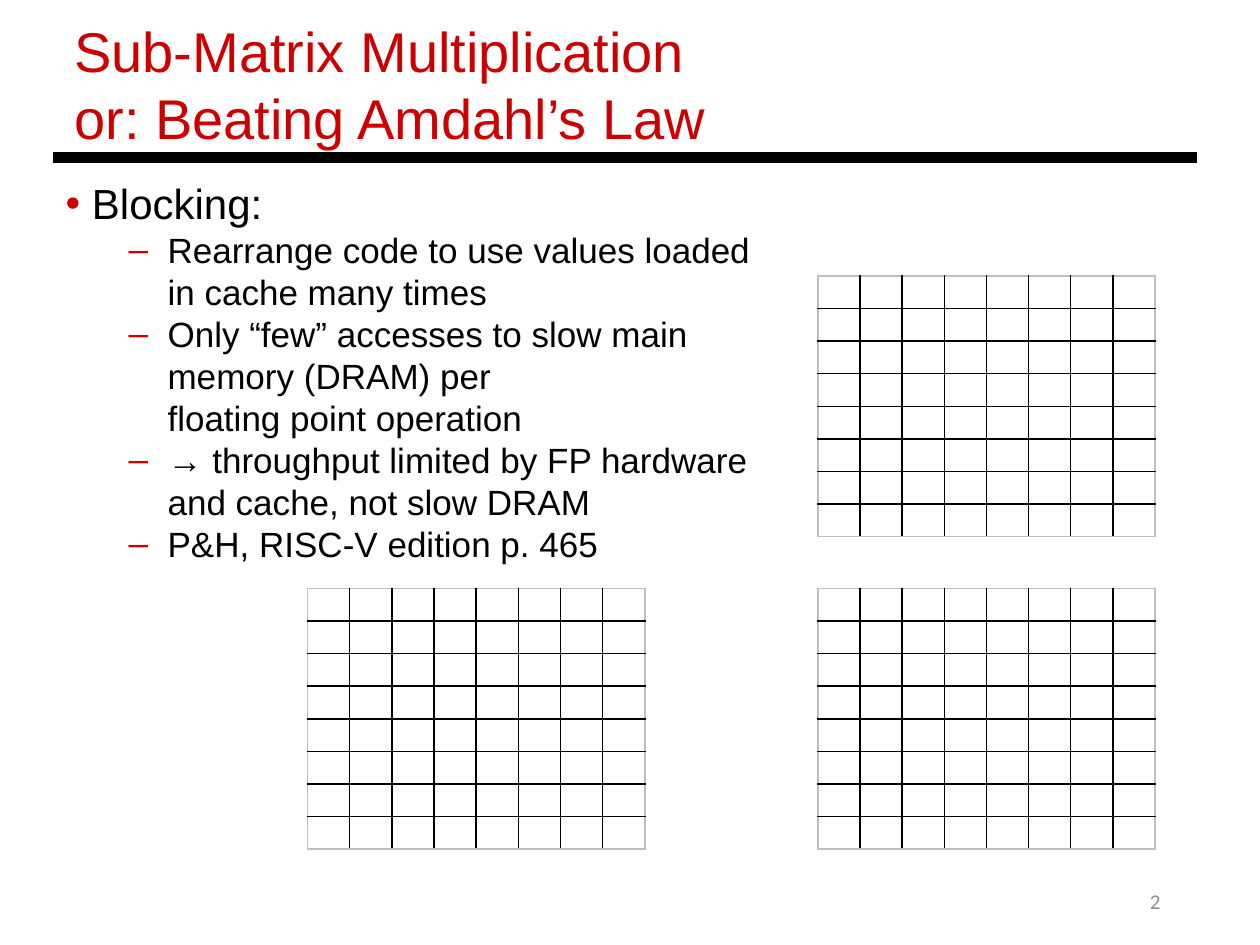
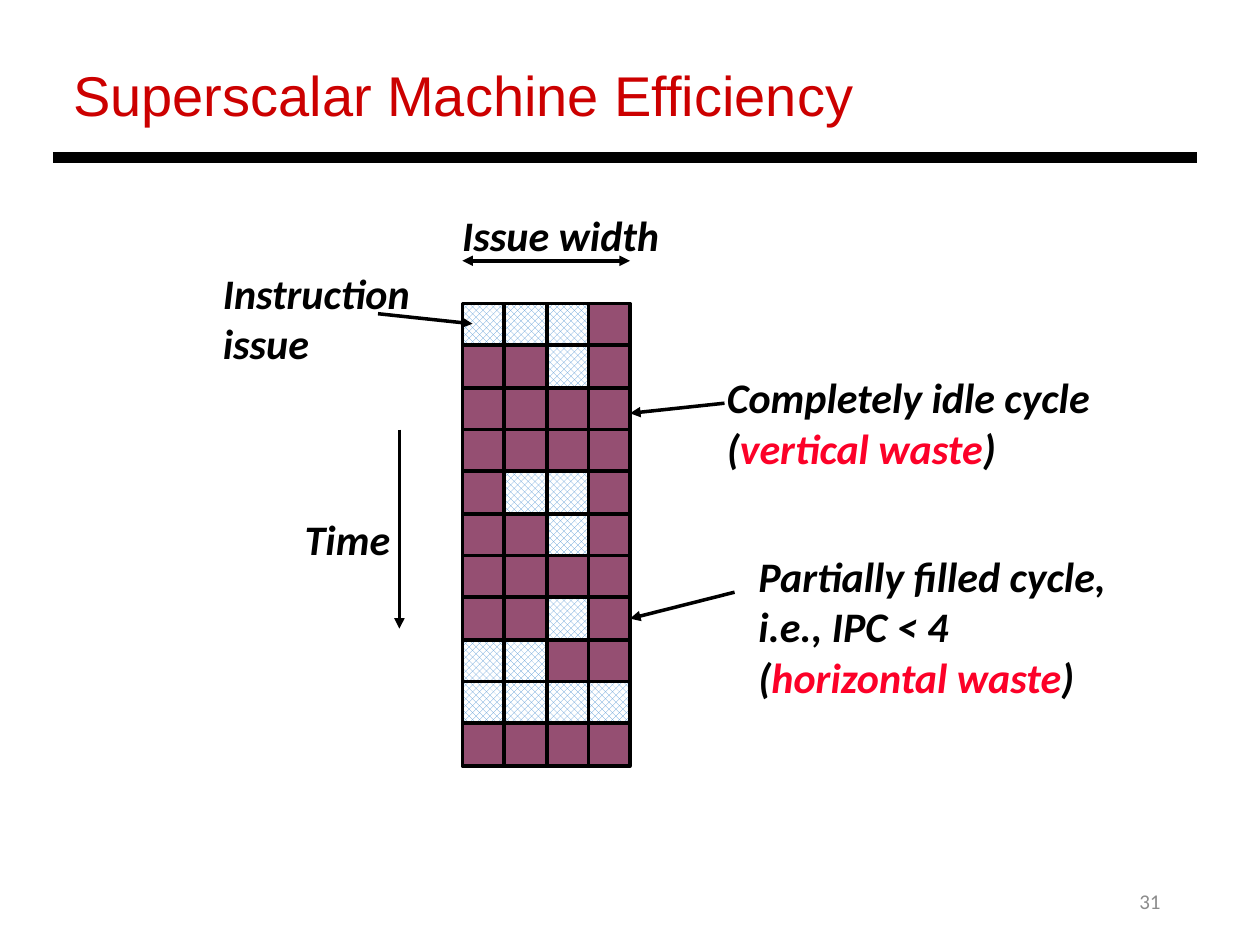
from dataclasses import dataclass
from lxml.etree import SubElement
from pptx import Presentation
from pptx.dml.color import RGBColor
from pptx.enum.dml import MSO_PATTERN
from pptx.enum.shapes import MSO_CONNECTOR, MSO_SHAPE
from pptx.enum.text import MSO_ANCHOR, MSO_AUTO_SIZE, PP_ALIGN
from pptx.oxml import parse_xml
from pptx.oxml.ns import nsdecls, qn
from pptx.util import Pt

PX = 9144


@dataclass(frozen=True)
class Theme:
    """Colours, fonts and type sizes of the deck."""
    red: str = "CC0000"
    alert: str = "FC0128"
    ink: str = "000000"
    gray: str = "8C8C8C"
    edge: str = "BFBFBF"
    idle: str = "954F72"
    busy: str = "5B9BD5"
    paper: str = "FFFFFF"
    sans: str = "Arial"
    hand: str = "Calibri"
    title: int = 32
    head: int = 24
    item: int = 20
    foot: int = 12


T = Theme()

BLOCKING = [
    "Rearrange code to use values loaded in cache many times",
    "Only “few” accesses to slow main memory (DRAM) per\vfloating point operation",
    "→ throughput limited by FP hardware and cache, not slow DRAM",
    "P&H, RISC-V edition p. 465",
]

ISSUE = ["###.", "..#.", "....", "....", ".##.", "..#.",
         "....", "..#.", "##..", "####", "...."]


def rgb(code):
    """Turn a hex code into a colour."""
    return RGBColor.from_string(code)


def emu(*sizes):
    """Scale px lengths to EMU."""
    return [round(size * PX) for size in sizes]


def place(shape, box):
    """Move a shape to a px box."""
    shape.left, shape.top, shape.width, shape.height = emu(*box)


def style(para, face, size, color, bold=False):
    """Format every run and line break of a paragraph."""
    for run in para.runs:
        font = run.font
        font.name, font.size = face, Pt(size)
        font.color.rgb = rgb(color)
        font.bold = font.italic = bold
    for br in para._p.findall(qn("a:br")):
        SubElement(br, qn("a:rPr")).set("sz", str(size * 100))


def bullet(para, mark, left, hang):
    """Give a paragraph a red bullet and a hanging indent in px."""
    props = para._p.get_or_add_pPr()
    left, hang = emu(left, hang)
    props.set("marL", str(left))
    props.set("indent", str(-hang))
    tint = SubElement(props, qn("a:buClr"))
    SubElement(tint, qn("a:srgbClr")).set("val", T.red)
    SubElement(props, qn("a:buFont")).set("typeface", T.sans)
    SubElement(props, qn("a:buChar")).set("char", mark)
    para.space_before = Pt(0)


def line(slide, start, end, width=2, head=False, tail=False):
    """Draw a straight line with optional arrowheads."""
    link = slide.shapes.add_connector(
        MSO_CONNECTOR.STRAIGHT, *emu(*start, *end))
    link.line.width = Pt(width)
    link.line.color.rgb = rgb(T.ink)
    for tag, used in (("a:headEnd", head), ("a:tailEnd", tail)):
        if used:
            SubElement(link.line._get_or_add_ln(), qn(tag)).set("type", "triangle")
    SubElement(link._element.spPr, qn("a:effectLst"))
    return link


def frame(deck, layout, title, box, number):
    """Add a slide with its title, rule and number."""
    slide = deck.slides.add_slide(deck.slide_layouts[layout])
    place(slide.shapes.title, box)
    text = slide.shapes.title.text_frame
    text.text = title
    text.auto_size = MSO_AUTO_SIZE.NONE
    text.vertical_anchor = MSO_ANCHOR.TOP
    para = text.paragraphs[0]
    para.alignment = PP_ALIGN.LEFT
    style(para, T.sans, T.title, T.red)
    line(slide, (42, 125), (950, 125), width=6)
    foot = slide.shapes.add_textbox(*emu(706, 695, 225, 40)).text_frame
    foot.text = number
    foot.vertical_anchor = MSO_ANCHOR.MIDDLE
    foot.paragraphs[0].alignment = PP_ALIGN.RIGHT
    style(foot.paragraphs[0], T.hand, T.foot, T.gray)
    return slide


def outline(slide, box, head, items):
    """Fill the body placeholder with a heading and dashed items."""
    body = slide.placeholders[1]
    place(body, box)
    text = body.text_frame
    text.auto_size = MSO_AUTO_SIZE.NONE
    para = text.paragraphs[0]
    para.text = head
    bullet(para, "•", 21, 21)
    style(para, T.sans, T.head, T.ink)
    for item in items:
        para = text.add_paragraph()
        para.text, para.level = item, 1
        bullet(para, "–", 81, 31)
        style(para, T.sans, T.item, T.ink)


def border(cell, colors):
    """Set left, right, top and bottom cell borders."""
    props = cell._tc.get_or_add_tcPr()
    for spot, (side, color) in enumerate(zip("LRTB", colors)):
        props.insert(spot, parse_xml(
            f'<a:ln{side} {nsdecls("a")} w="12700"><a:solidFill>'
            f'<a:srgbClr val="{color}"/></a:solidFill></a:ln{side}>'))


def matrix(slide, left, top, count=8):
    """Add an empty square table with a pale outer edge."""
    box = emu(left, top, 268, 207)
    table = slide.shapes.add_table(count, count, *box).table
    table.first_row = table.horz_banding = False
    last = count - 1
    for row in range(count):
        for col in range(count):
            cell = table.cell(row, col)
            cell.fill.background()
            cell.margin_top = cell.margin_bottom = 0
            tail = SubElement(cell.text_frame.paragraphs[0]._p, qn("a:endParaRPr"))
            tail.set("sz", "800")
            rims = (col == 0, col == last, row == 0, row == last)
            border(cell, [T.edge if rim else T.ink for rim in rims])


def slots(slide, left, top, rows):
    """Draw issue slots and return them by row."""
    def slot(row, col, mark):
        """Draw one busy or idle slot."""
        x, x2, y, y2 = (round(n * 100 / 3) for n in (col, col + 1, row, row + 1))
        shape = slide.shapes.add_shape(
            MSO_SHAPE.RECTANGLE, *emu(left + x, top + y, x2 - x, y2 - y))
        shape.shadow.inherit = False
        if mark == "#":
            shape.fill.patterned()
            shape.fill.pattern = MSO_PATTERN.SOLID_DIAMOND
            shape.fill.fore_color.rgb = rgb(T.busy)
            shape.fill.back_color.rgb = rgb(T.paper)
        else:
            shape.fill.solid()
            shape.fill.fore_color.rgb = rgb(T.idle)
        shape.line.color.rgb = rgb(T.ink)
        shape.line.width = Pt(2)
        return shape
    return [[slot(row, col, mark) for col, mark in enumerate(marks)]
            for row, marks in enumerate(rows)]


def label(slide, box, *paras, wrap=True):
    """Add a bold italic label; odd pieces of a paragraph are red."""
    text = slide.shapes.add_textbox(*emu(*box)).text_frame
    text.word_wrap = wrap
    for spot, parts in enumerate(paras):
        para = text.add_paragraph() if spot else text.paragraphs[0]
        for part in parts:
            para.add_run().text = part
        style(para, T.hand, T.head, T.ink, bold=True)
        for run in para.runs[1::2]:
            run.font.color.rgb = rgb(T.alert)


def blocking(deck):
    """Build the sub-matrix slide."""
    slide = frame(deck, 1, "Sub-Matrix Multiplication\vor: Beating Amdahl’s Law",
                  (49, 8, 770, 118), "2")
    outline(slide, (42, 136, 575, 320), "Blocking:", BLOCKING)
    for left, top in ((244, 467), (649, 467), (649, 219)):
        matrix(slide, left, top)


def issue(deck):
    """Build the superscalar slide."""
    slide = frame(deck, 5, "Superscalar Machine Efficiency",
                  (48, 43, 770, 64), "31")
    grid = slots(slide, 367, 241, ISSUE)
    label(slide, (357, 161, 186, 51), ["Issue width"], wrap=False)
    label(slide, (232, 403, 97, 51), ["Time"], wrap=False)
    label(slide, (167, 207, 185, 91), ["Instruction issue"])
    label(slide, (567, 290, 400, 91),
          ["Completely idle cycle (", "vertical waste", ")"])
    label(slide, (592, 432, 342, 131), ["Partially filled cycle, i.e., IPC < 4"],
          ["(", "horizontal waste", ")"])
    line(slide, (367, 207), (500, 207), head=True, tail=True)
    line(slide, (317, 341), (317, 499), tail=True)
    line(slide, (375, 257), (300, 249), head=True)
    line(slide, (500, 328), (575, 320), head=True)
    partial = line(slide, (500, 491), (583, 470), head=True)
    partial.begin_connect(grid[7][3], 3)


def main():
    """Build and save the deck."""
    deck = Presentation()
    deck.slide_width, deck.slide_height = emu(1000, 750)
    blocking(deck)
    issue(deck)
    deck.save("out.pptx")


if __name__ == "__main__":
    main()
